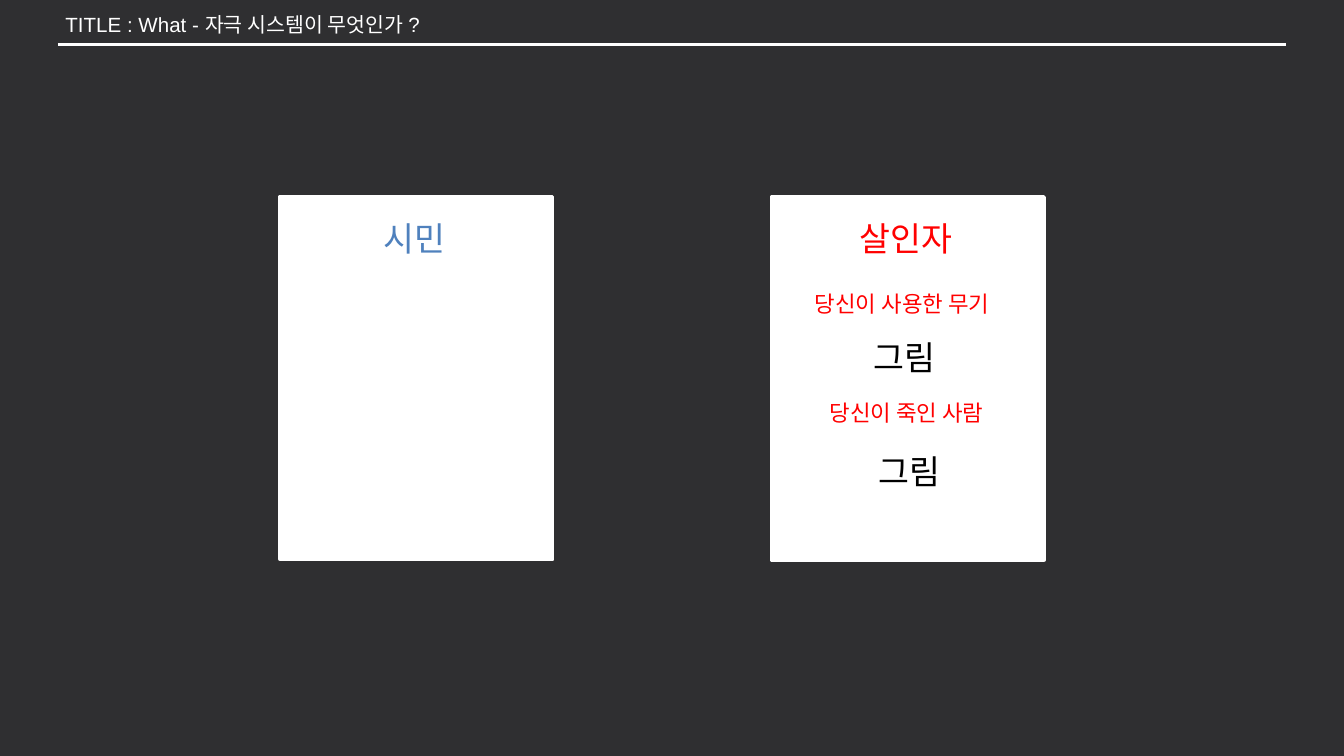
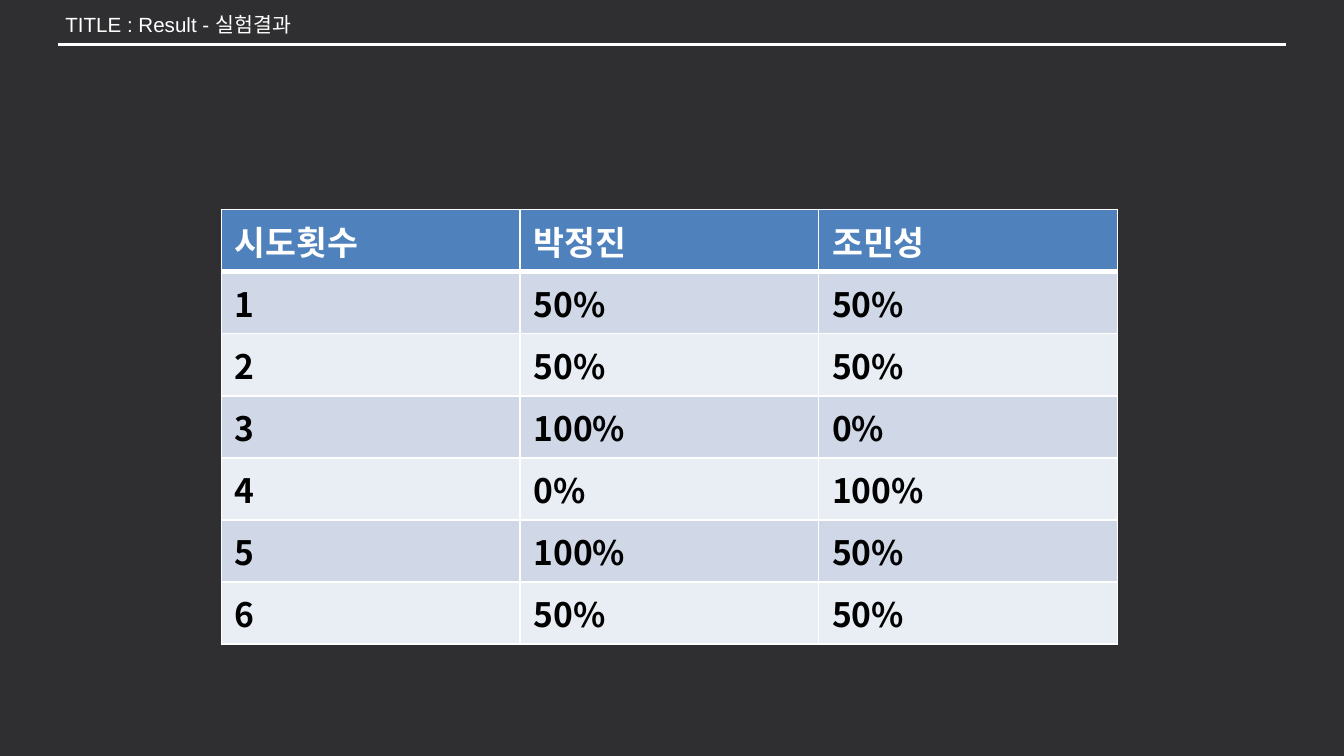
import pptx
import pptx.dml.color
import pptx.enum.shapes
import pptx.enum.text
import pptx.oxml
import pptx.oxml.ns
import pptx.util

Pt = pptx.util.Pt
RGBColor = pptx.dml.color.RGBColor

DARK = RGBColor(0x2F, 0x2F, 0x31)
WHITE = RGBColor(0xFF, 0xFF, 0xFF)
BLACK = RGBColor(0x00, 0x00, 0x00)
RED = RGBColor(0xFF, 0x00, 0x00)
BLUE = RGBColor(0x4F, 0x81, 0xBD)
STRIPES = (RGBColor(0xD0, 0xD8, 0xE8), RGBColor(0xE9, 0xED, 0xF4))
LATIN, KOREAN = "Arial", "Noto Sans CJK KR"

# Content
CARD_TITLE = "TITLE : What - 자극 시스템이 무엇인가 ?"
RESULT_TITLE = "TITLE : Result - 실험결과"

# Each label: text, top, width, shift from the card's centre, size, colour
CITIZEN_LABELS = [("시민", 113, 49, 0, 18, BLUE)]
KILLER_LABELS = [
    ("살인자", 113, 65.5, 0, 18, RED),
    ("당신이 사용한 무기", 152, 113.8, 0, 12, RED),
    ("당신이 죽인 사람", 210.2, 103, 2.5, 12, RED),
    ("그림", 177.1, 51, 0, 18, BLACK),
    ("그림", 237.8, 51, 3, 18, BLACK),
]
# Each card: left, top, labels
CARDS = [(150, 105.3, CITIZEN_LABELS), (413.3, 105.6, KILLER_LABELS)]

RESULTS = [
    ("시도횟수", "박정진", "조민성"),
    ("1", "50%", "50%"),
    ("2", "50%", "50%"),
    ("3", "100%", "0%"),
    ("4", "0%", "100%"),
    ("5", "100%", "50%"),
    ("6", "50%", "50%"),
]

# Measures in points
SLIDE_WIDTH, SLIDE_HEIGHT = 720, 405
RULE_MARGIN, RULE_TOP = 31, 23.8
CARD_WIDTH, CARD_HEIGHT = 146, 194.4
TABLE_LEFT, TABLE_TOP = 118.6, 112.2
COLUMN_WIDTH, ROW_HEIGHT = 160, 29.2
INSET_X, INSET_Y = 7.2, 3.6
LINE_SPACING = 1.2

# Format values
INSETS = {"margin_left": Pt(INSET_X), "margin_right": Pt(INSET_X),
          "margin_top": Pt(INSET_Y), "margin_bottom": Pt(INSET_Y)}
TITLE_BOX = {"left": Pt(27.8), "top": Pt(2.2), "width": Pt(661), "height": Pt(21.6)}
TITLE_FRAME = {**INSETS, "word_wrap": True,
               "auto_size": pptx.enum.text.MSO_AUTO_SIZE.NONE,
               "vertical_anchor": pptx.enum.text.MSO_ANCHOR.MIDDLE}
LABEL_FRAME = {**INSETS, "word_wrap": False,
               "auto_size": pptx.enum.text.MSO_AUTO_SIZE.SHAPE_TO_FIT_TEXT}


# Shared helpers
def apply(target, values):
    for name, value in values.items():
        setattr(target, name, value)


def drawing_xml(tag, attributes="", content=""):
    namespace = pptx.oxml.ns.nsdecls("a")
    return pptx.oxml.parse_xml(f"<a:{tag} {namespace} {attributes}>{content}</a:{tag}>")


def add_text(frame, text, size, color, latin=KOREAN, bold=False):
    paragraph = frame.paragraphs[0]
    paragraph.alignment = pptx.enum.text.PP_ALIGN.LEFT
    run = paragraph.add_run()
    run.text = text
    apply(run.font, {"size": Pt(size), "name": latin, "bold": bold})
    run.font.color.rgb = color
    # Hangul takes its typeface from a:ea
    run.font._rPr.append(drawing_xml("ea", f'typeface="{KOREAN}"'))


def set_line(line, color, width):
    line.color.rgb = color
    line.width = Pt(width)


def add_rectangle(slide, left, top, width, height, color):
    rectangle = slide.shapes.add_shape(
        pptx.enum.shapes.MSO_SHAPE.RECTANGLE, Pt(left), Pt(top), Pt(width), Pt(height))
    rectangle.shadow.inherit = False
    rectangle.fill.solid()
    rectangle.fill.fore_color.rgb = color
    rectangle.line.fill.background()
    return rectangle


# Dark backdrop and title rule, shared through the layout
def put_backdrop_on_layout(slide):
    backdrop = add_rectangle(slide, 0, 0, SLIDE_WIDTH, SLIDE_HEIGHT, DARK)
    rule = slide.shapes.add_connector(
        pptx.enum.shapes.MSO_CONNECTOR.STRAIGHT,
        Pt(RULE_MARGIN), Pt(RULE_TOP), Pt(SLIDE_WIDTH - RULE_MARGIN), Pt(RULE_TOP))
    set_line(rule.line, WHITE, 1.5)
    rule.element.spPr.append(drawing_xml("effectLst"))
    # The first two children of a shape tree are its own properties
    for position, part in enumerate((backdrop, rule), start=2):
        slide.slide_layout.shapes.element.insert(position, part.element)


def add_titled_slide(deck, layout, title):
    slide = deck.slides.add_slide(layout)
    heading = slide.shapes.title
    apply(heading, TITLE_BOX)
    apply(heading.text_frame, TITLE_FRAME)
    add_text(heading.text_frame, title, 11, WHITE, latin=LATIN)
    return slide


# Role cards
def add_label(slide, center, text, top, width, shift, size, color):
    left = center + shift - width / 2
    height = size * LINE_SPACING + 2 * INSET_Y
    label = slide.shapes.add_textbox(Pt(left), Pt(top), Pt(width), Pt(height))
    apply(label.text_frame, LABEL_FRAME)
    add_text(label.text_frame, text, size, color)


def add_card(slide, left, top, labels):
    card = add_rectangle(slide, left, top, CARD_WIDTH, CARD_HEIGHT, WHITE)
    set_line(card.line, WHITE, 2)
    for label in labels:
        add_label(slide, left + CARD_WIDTH / 2, *label)


# Results table
def set_borders(cell, bottom_width):
    properties = cell._tc.get_or_add_tcPr()
    color = f'<a:solidFill><a:srgbClr val="{WHITE}"/></a:solidFill>'
    widths = {"lnL": 1, "lnR": 1, "lnT": 1, "lnB": bottom_width}
    # Borders come before the fill, in this order
    for position, (side, width) in enumerate(widths.items()):
        properties.insert(position, drawing_xml(side, f'w="{Pt(width)}"', color))


def format_cell(cell, text, fill, color, bottom_width):
    apply(cell, INSETS)
    cell.fill.solid()
    cell.fill.fore_color.rgb = fill
    set_borders(cell, bottom_width)
    add_text(cell.text_frame, text, 18, color, bold=True)


def add_results(slide):
    row_count, column_count = len(RESULTS), len(RESULTS[0])
    results = slide.shapes.add_table(
        row_count, column_count, Pt(TABLE_LEFT), Pt(TABLE_TOP),
        Pt(COLUMN_WIDTH * column_count), Pt(ROW_HEIGHT * row_count)).table
    for row, values in enumerate(RESULTS):
        if row == 0:
            look = (BLUE, WHITE, 3)
        else:
            look = (STRIPES[(row - 1) % len(STRIPES)], BLACK, 1)
        for column, value in enumerate(values):
            format_cell(results.cell(row, column), value, *look)


def main():
    deck = pptx.Presentation()
    apply(deck, {"slide_width": Pt(SLIDE_WIDTH), "slide_height": Pt(SLIDE_HEIGHT)})
    title_only = deck.slide_layouts.get_by_name("Title Only")

    role_slide = add_titled_slide(deck, title_only, CARD_TITLE)
    put_backdrop_on_layout(role_slide)
    for card in CARDS:
        add_card(role_slide, *card)

    result_slide = add_titled_slide(deck, title_only, RESULT_TITLE)
    add_results(result_slide)

    deck.save("out.pptx")


if __name__ == "__main__":
    main()
